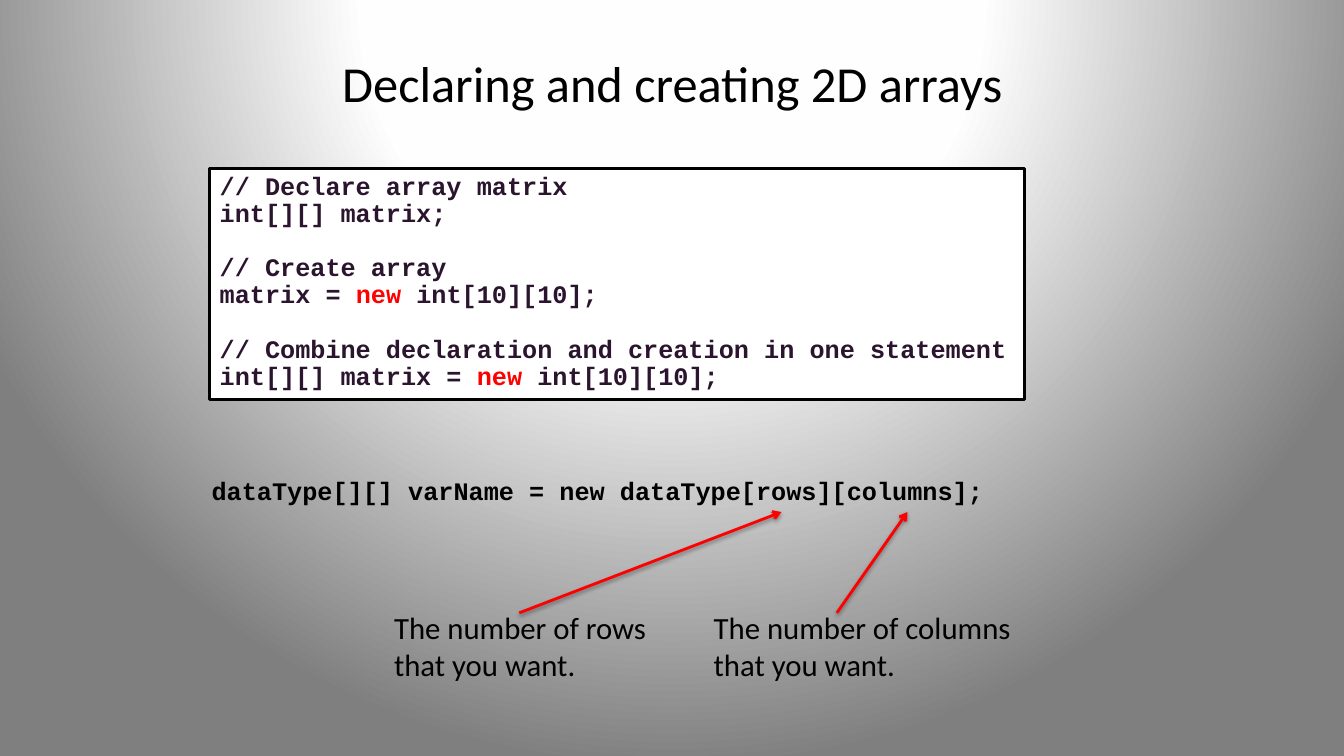
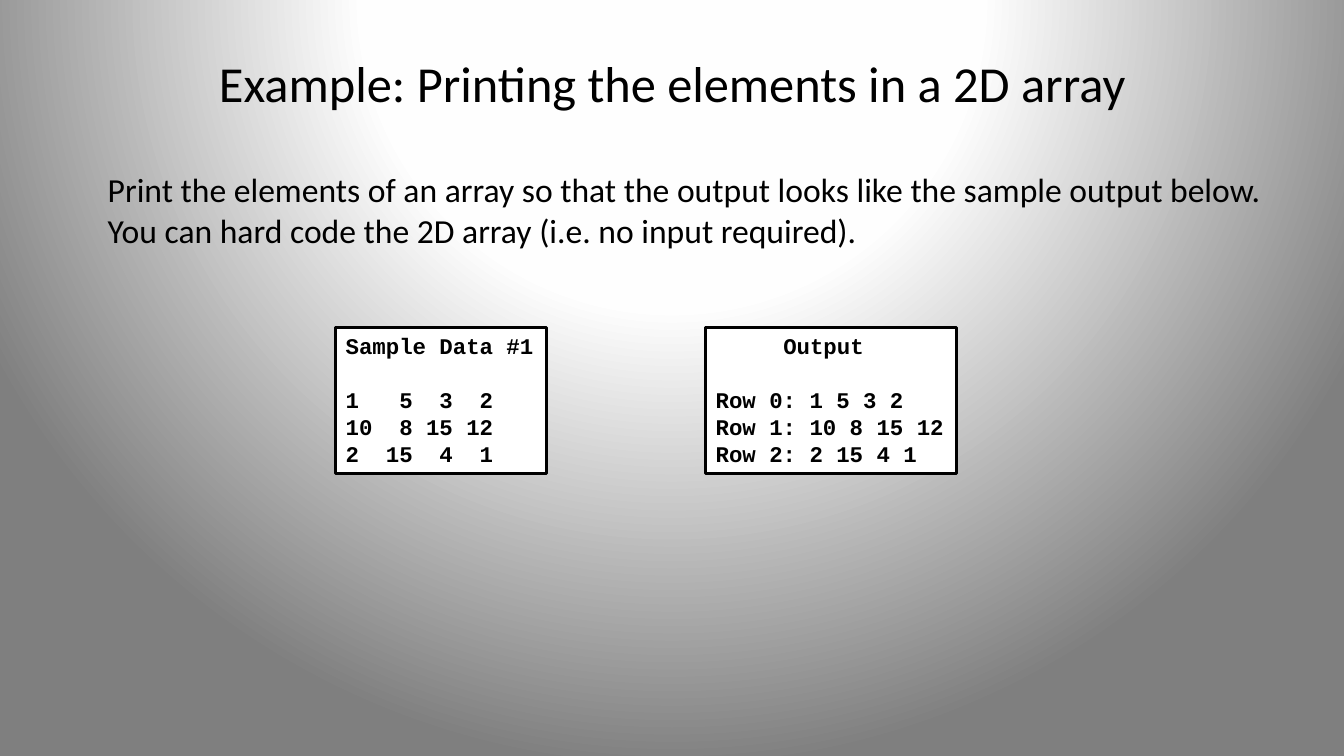
from pptx import Presentation
from pptx.dml.color import RGBColor
from pptx.enum.shapes import MSO_CONNECTOR
from pptx.enum.text import MSO_ANCHOR, MSO_AUTO_SIZE, PP_ALIGN
from pptx.oxml import parse_xml
from pptx.oxml.ns import nsdecls, qn
from pptx.util import Inches, Pt

color = RGBColor.from_string
BLACK, WHITE, RED, PLUM = "000000", "FFFFFF", "FF0000", "2B142D"
TITLE = {"name": "Calibri", "size": Pt(36)}
NOTE = {"name": "Calibri", "size": Pt(22)}
BODY = {"name": "Calibri", "size": Pt(24)}
CODE = {"name": "Courier New", "size": Pt(18), "bold": True}
SAMPLE = {"name": "Courier New", "size": Pt(16), "bold": True}

deck = Presentation()
deck.slide_width, deck.slide_height = Inches(13.33), Inches(7.5)

stops = "".join(
    f'<a:gs pos="{position * 1000}"><a:srgbClr val="{shade}"/></a:gs>'
    for position, shade in [(0, WHITE), (40, "FEFEFE"), (100, "7F7F7F")]
)
common_slide = deck.slide_master.element.cSld
for old_background in common_slide.findall(qn("p:bg")):
    common_slide.remove(old_background)
common_slide.insert(0, parse_xml(
    f'<p:bg {nsdecls("p", "a")}><p:bgPr><a:gradFill rotWithShape="1"><a:gsLst>{stops}</a:gsLst>'
    '<a:path path="circle"><a:fillToRect l="50000" t="-80000" r="50000" b="180000"/></a:path>'
    "</a:gradFill><a:effectLst/></p:bgPr></p:bg>"
))


def add_page(title):
    page = deck.slides.add_slide(deck.slide_layouts[5])
    heading = page.shapes.title
    heading.left, heading.top = Inches(0.67), Inches(0.3)
    heading.width, heading.height = Inches(12), Inches(1.03)
    heading.text_frame.text = title
    heading.text_frame.vertical_anchor = MSO_ANCHOR.MIDDLE
    para = heading.text_frame.paragraphs[0]
    para.alignment = PP_ALIGN.CENTER
    for name, value in TITLE.items():
        setattr(para.font, name, value)
    para.font.color.rgb = color(BLACK)
    return page


def add_text(page, place, blocks, style, ink=BLACK, keyword=None, spacing=1.0, framed=False):
    box = page.shapes.add_textbox(*map(Inches, place))
    frame = box.text_frame
    frame.word_wrap = False
    frame.auto_size = MSO_AUTO_SIZE.SHAPE_TO_FIT_TEXT
    if framed:
        box.fill.solid()
        box.fill.fore_color.rgb = color(WHITE)
        box.line.color.rgb = color(BLACK)
        box.line.width = Pt(2)
    for block_number, block in enumerate(blocks):
        for line_number, line in enumerate(block):
            first = block_number == line_number == 0
            para = frame.paragraphs[0] if first else frame.add_paragraph()
            para.line_spacing = spacing
            if block_number and not line_number:
                para.space_before = Pt(round(style["size"].pt * 1.2 * spacing, 1))
            pieces = line.partition(keyword) if keyword else [line]
            for piece in filter(None, pieces):
                span = para.add_run()
                span.text = piece
                for name, value in style.items():
                    setattr(span.font, name, value)
                span.font.color.rgb = color(RED if piece == keyword else ink)
    return box


page = add_page("Declaring and creating 2D arrays")
add_text(page, (2.08, 1.67, 8.08, 2.29), [
    ["// Declare array matrix", "int[][] matrix;"],
    ["// Create array", "matrix = new int[10][10];"],
    ["// Combine declaration and creation in one statement", "int[][] matrix = new int[10][10];"],
], CODE, ink=PLUM, keyword="new ", spacing=0.9, framed=True)
add_text(page, (2, 4.67, 7.93, 0.4), [["dataType[][] varName = new dataType[rows][columns];"]], CODE)

for noun, left, width, start, end in [
    ("rows", 3.81, 2.72, 5.15, 7.75),
    ("columns", 6.98, 3.18, 8.3, 9),
]:
    add_text(page, (left, 5.99, width, 0.84), [[f"The number of {noun}", "that you want."]], NOTE)
    arrow = page.shapes.add_connector(
        MSO_CONNECTOR.STRAIGHT, Inches(start), Inches(6.08), Inches(end), Inches(5.08))
    arrow.line.color.rgb = color(RED)
    arrow.line.width = Pt(2)
    arrow.line._get_or_add_ln().append(parse_xml(f'<a:tailEnd {nsdecls("a")} type="arrow"/>'))
    arrow._element.spPr.append(parse_xml(
        f'<a:effectLst {nsdecls("a")}><a:outerShdw blurRad="40000" dist="20000" dir="5400000" '
        f'rotWithShape="0"><a:srgbClr val="{BLACK}"><a:alpha val="38000"/></a:srgbClr>'
        "</a:outerShdw></a:effectLst>"
    ))

page = add_page("Example: Printing the elements in a 2D array")
add_text(page, (0.97, 1.63, 11.81, 0.91), [[
    "Print the elements of an array so that the output looks like the sample output below.",
    "You can hard code the 2D array (i.e. no input required).",
]], BODY)
add_text(page, (3.33, 3.25, 2.09, 1.45), [
    ["Sample Data #1"],
    ["1   5  3  2", "10  8 15 12", "2  15  4  1"],
], SAMPLE, framed=True)
output = add_text(page, (7, 3.25, 2.49, 1.45), [
    ["Output"],
    ["Row 0: 1 5 3 2", "Row 1: 10 8 15 12", "Row 2: 2 15 4 1"],
], SAMPLE, framed=True)
output_heading = output.text_frame.paragraphs[0]
output_heading._p.get_or_add_pPr().set("marL", str(Inches(0.67)))

deck.save("out.pptx")
